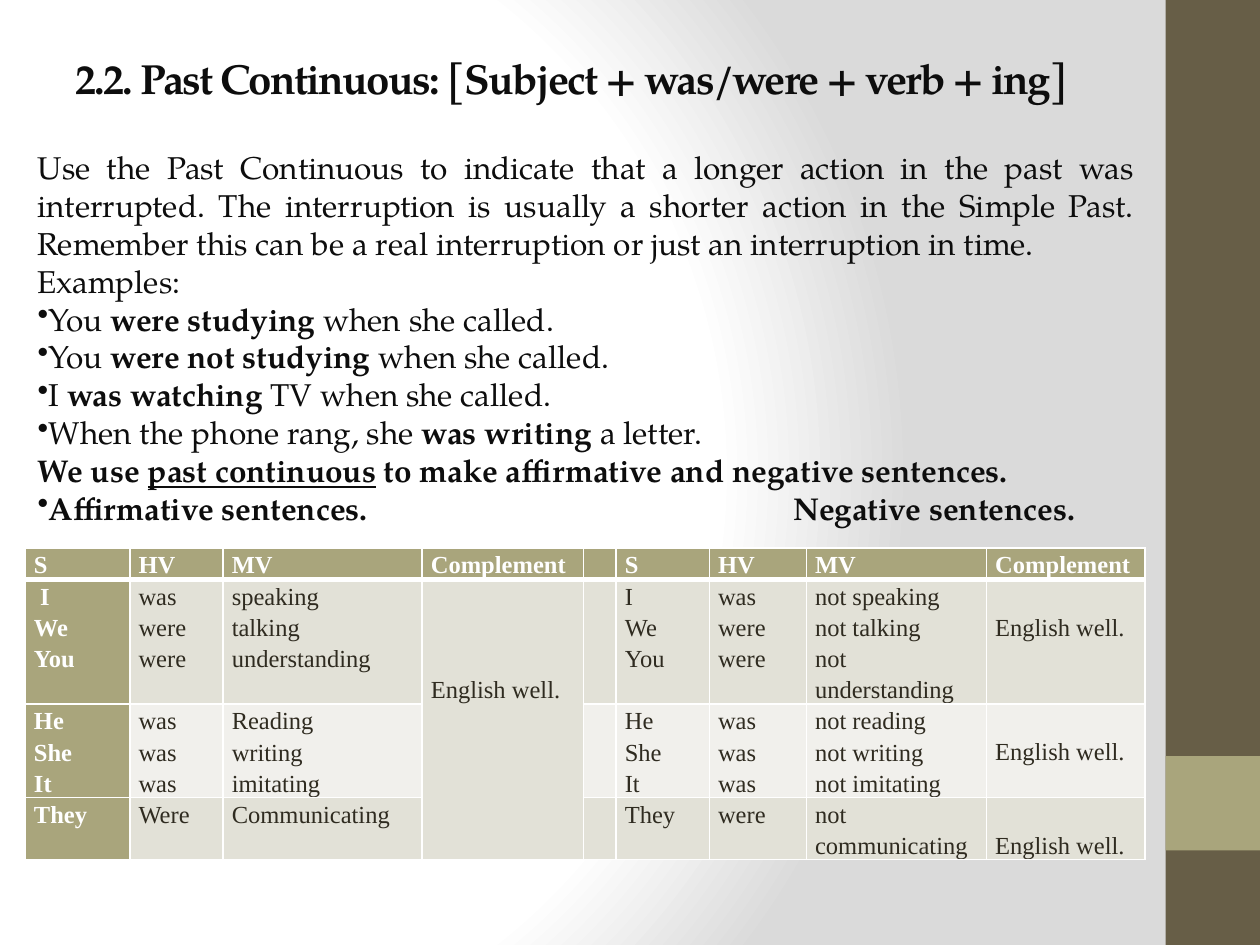
"""Build a grammar slide on the past continuous with a sentence table."""
from dataclasses import dataclass
from typing import NamedTuple

from pptx import Presentation, oxml, util as u
from pptx.dml.color import RGBColor
from pptx.enum import shapes, text
from pptx.oxml.ns import nsdecls, qn


@dataclass(frozen=True)
class Theme:
    head: str = "TeX Gyre Pagella"
    grid: str = "Times New Roman"
    ink: str = "0D0D0D"
    dark: str = "2F2B20"
    white: str = "FFFFFF"
    brown: str = "675E47"
    olive: str = "A9A57C"
    odd: str = "E2E1D7"
    even: str = "F1F0EC"
    grey: str = "DADADA"
    big: float = 24
    mid: float = 18
    small: float = 14


class Box(NamedTuple):
    x: float
    y: float
    w: float
    h: float


class Bit(NamedTuple):
    words: str
    bold: bool = False
    line: bool = False


class Para(NamedTuple):
    bits: tuple
    dot: bool = False


class Cell(NamedTuple):
    lines: tuple = ()
    drop: int = 0


T = Theme()
WIDE, HIGH = 10, 7.5
LINE = 0.246
TITLE = Box(0.05, 0.04, 0.833, 0.084)
BODY = Box(0.02, 0.11, 0.89, 0.45)
TABLE = Box(0.02, 0.58, 0.89, 0.33)
BARS = ((Box(0.925, 0, 0.075, 1), T.brown), (Box(0.925, 0.8, 0.075, 0.1), T.olive))
COLS = (0.83, 0.74, 1.58, 1.28, 0.26, 0.74, 0.77, 1.43, 1.26)
ROWS = (0.25, 0.98, 0.74, 0.49)
SHARED = 3
HEAD = tuple(Cell((name,)) for name in ("S", "HV", "MV", "Complement"))
GAP = Cell()
WELL = ("English well.",)
PAST = ("was", "were", "were")
WAS = ("was",) * 3
GRID = (
    HEAD + (GAP,) + HEAD,
    (Cell((" I", "We", "You")), Cell(PAST), Cell(("speaking", "talking", "understanding")),
     Cell(WELL, 3), GAP, Cell(("I", "We", "You")), Cell(PAST),
     Cell(("not speaking", "not talking", "not understanding")), Cell(WELL, 1)),
    (Cell(("He", "She", "It")), Cell(WAS), Cell(("Reading", "writing", "imitating")),
     GAP, GAP, Cell(("He", "She", "It")), Cell(WAS),
     Cell(("not reading", "not writing", "not imitating")), Cell(WELL, 1)),
    (Cell(("They",)), Cell(("Were",)), Cell(("Communicating",)), GAP, GAP,
     Cell(("They",)), Cell(("were",)), Cell(("not communicating",)), Cell(WELL, 1)),
)


def sample(start: str, verb: str, end: str) -> Para:
    """Return a bulleted example with its verb in bold."""
    return Para((Bit(start), Bit(verb, True), Bit(end)), True)


PARAS = (
    Para((Bit("Use the Past Continuous to indicate that a longer action in the past was "
              "interrupted. The interruption is usually a shorter action in the Simple Past. "
              "Remember this can be a real interruption or just an interruption in time."),)),
    Para((Bit("Examples:"),)),
    sample("You ", "were studying", " when she called."),
    sample("You ", "were not studying", " when she called."),
    sample("I ", "was watching", " TV when she called."),
    sample("When the phone rang, she ", "was writing", " a letter."),
    Para((Bit("We use ", True), Bit("past continuous", True, True),
          Bit(" to make affirmative and negative sentences.", True))),
    Para((Bit("Affirmative sentences.\tNegative sentences.", True),), True),
)


def place(box: Box) -> tuple:
    """Turn shares of the slide into lengths."""
    return tuple(u.Inches(part * size) for part, size in zip(box, (WIDE, HIGH) * 2))


def tag(body: str):
    """Make a drawing element from its name and content."""
    name, rest = body.split("|", 1)
    return oxml.parse_xml(f"<a:{name} {nsdecls('a')} {rest}")


def write(para, bit: Bit, face: str, size: float, tint: str):
    """Add one styled run to a paragraph."""
    run = para.add_run()
    run.text = bit.words
    font = run.font
    font.name, font.size, font.bold = face, u.Pt(size), bit.bold
    font.underline = bit.line
    font.color.rgb = RGBColor.from_string(tint)
    return run


def paint(slide) -> None:
    """Give the slide its round gradient."""
    slide.background.fill.gradient()
    old = slide.element.find(".//" + qn("a:gradFill"))
    stops = "".join(f'<a:gs pos="{pos}000"><a:srgbClr val="{tint}"/></a:gs>'
                    for pos, tint in ((0, T.white), (75, T.white), (100, T.grey)))
    new = tag(f'gradFill|rotWithShape="1"><a:gsLst>{stops}</a:gsLst><a:path path="circle">'
              '<a:fillToRect l="20000" t="50000" r="100000" b="50000"/></a:path></a:gradFill>')
    old.getparent().replace(old, new)


def bar(slide, box: Box, tint: str) -> None:
    """Draw one plain block of the side band."""
    block = slide.shapes.add_shape(shapes.MSO_SHAPE.RECTANGLE, *place(box))
    block.shadow.inherit = False
    block.fill.solid()
    block.fill.fore_color.rgb = RGBColor.from_string(tint)
    block.line.fill.background()


def title(slide) -> None:
    """Place and fill the title."""
    shape = slide.shapes.title
    shape.left, shape.top, shape.width, shape.height = place(TITLE)
    frame = shape.text_frame
    frame.vertical_anchor = text.MSO_ANCHOR.MIDDLE
    para = frame.paragraphs[0]
    para.alignment = text.PP_ALIGN.LEFT
    bit = Bit("2.2. Past Continuous: [Subject + was/were + verb + ing]", True)
    run = write(para, bit, T.head, T.big, T.ink)
    run.font._element.set("spc", "-100")


def prose(slide) -> None:
    """Write the rule and its examples."""
    frame = slide.shapes.add_textbox(*place(BODY)).text_frame
    frame.word_wrap = True
    frame.vertical_anchor = text.MSO_ANCHOR.MIDDLE
    frame.margin_top, frame.margin_bottom = u.Inches(0.33), 0
    for spot, item in enumerate(PARAS):
        para = frame.add_paragraph() if spot else frame.paragraphs[0]
        para.alignment = text.PP_ALIGN.JUSTIFY
        props = para._p.get_or_add_pPr()
        if item.dot:
            props.append(tag('buChar|char="•"/>'))
            props.append(tag(f'tabLst|><a:tab pos="{u.Inches(6)}" algn="l"/></a:tabLst>'))
        for bit in item.bits:
            write(para, bit, T.head, T.mid, T.ink)


def fill(cell, item: Cell, row: int, col: int) -> None:
    """Style one table cell and write its lines."""
    strong = row == 0 or col == 0
    props = cell._tc.get_or_add_tcPr()
    for side in "LRTB":
        thick = (side == "B" and row == 0) or (side == "T" and row == 1)
        props.append(tag(f'ln{side}|w="{u.Pt(3 if thick else 1)}"><a:solidFill>'
                         f'<a:srgbClr val="{T.white}"/></a:solidFill></a:ln{side}>'))
    cell.fill.solid()
    tint = T.olive if strong else T.odd if row % 2 else T.even
    cell.fill.fore_color.rgb = RGBColor.from_string(tint)
    cell.margin_left = cell.margin_right = u.Inches(0.07)
    cell.margin_top, cell.margin_bottom = u.Inches(item.drop * LINE), 0
    frame = cell.text_frame
    for spot, words in enumerate(item.lines):
        para = frame.add_paragraph() if spot else frame.paragraphs[0]
        para.alignment = text.PP_ALIGN.JUSTIFY
        para.line_spacing = 1.15
        write(para, Bit(words, strong), T.grid, T.small, T.white if strong else T.dark)
    if not item.lines:
        frame.paragraphs[0]._p.append(tag(f'endParaRPr|sz="{T.small * 100}"/>'))


def table(slide) -> None:
    """Build the table of affirmative and negative forms."""
    grid = slide.shapes.add_table(len(ROWS), len(COLS), *place(TABLE)).table
    for col, size in zip(grid.columns, COLS):
        col.width = u.Inches(size)
    for row, size in zip(grid.rows, ROWS):
        row.height = u.Inches(size)
    for row, items in enumerate(GRID):
        for col, item in enumerate(items):
            fill(grid.cell(row, col), item, row, col)
    grid.cell(1, SHARED).merge(grid.cell(len(ROWS) - 1, SHARED))


def main() -> None:
    """Assemble and save the slide."""
    deck = Presentation()
    deck.slide_width, deck.slide_height = u.Inches(WIDE), u.Inches(HIGH)
    slide = deck.slides.add_slide(deck.slide_layouts[5])
    paint(slide)
    for box, tint in BARS:
        bar(slide, box, tint)
    title(slide)
    table(slide)
    prose(slide)
    deck.save("out.pptx")


if __name__ == "__main__":
    main()
